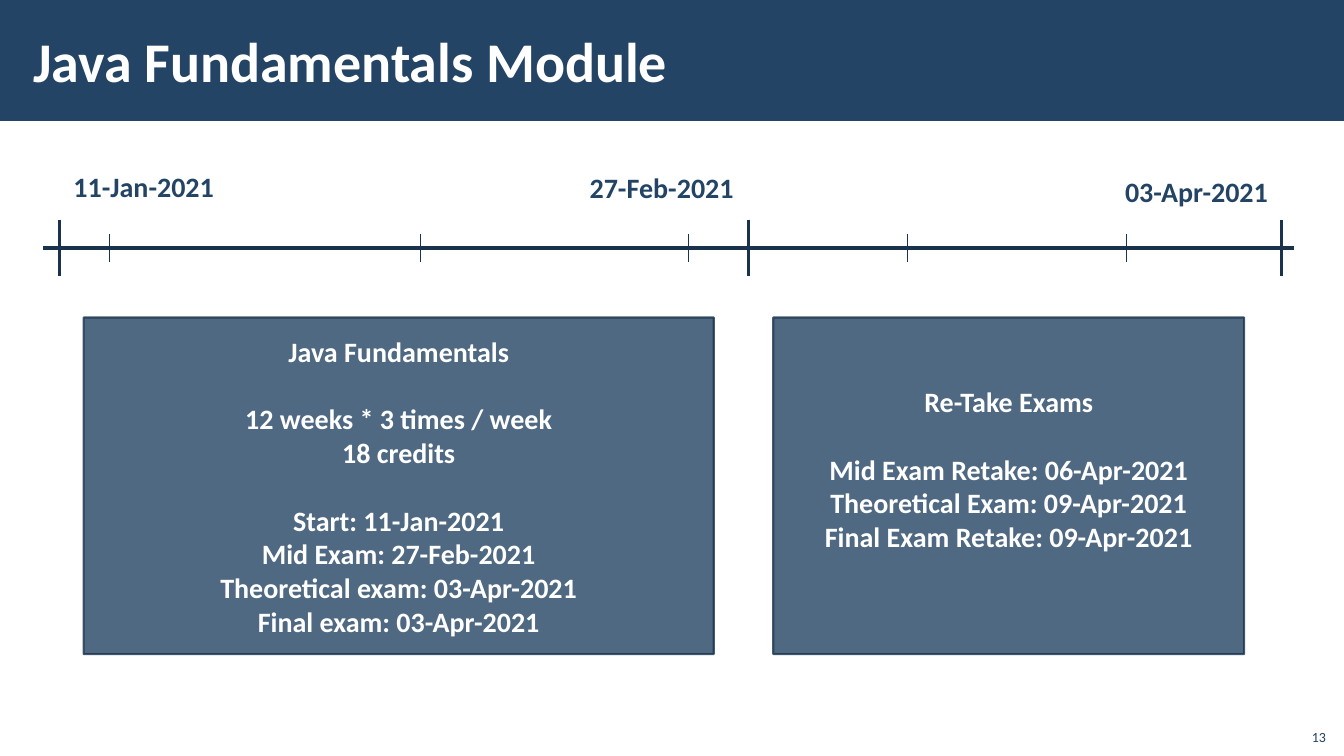
from lxml import etree
from pptx import Presentation
from pptx.dml.color import RGBColor
from pptx.enum.shapes import MSO_CONNECTOR, MSO_SHAPE
from pptx.enum.text import MSO_ANCHOR, PP_ALIGN
from pptx.oxml.ns import qn
from pptx.util import Inches, Pt

COLORS = {"navy": "234465", "line": "1A334C", "white": "FFFFFF"}
FONT = "Calibri"
AXIS_Y = 2.46
MAJOR_TICKS = [0.59, 7.42, 12.71]
MINOR_TICKS = [1.08, 4.17, 6.83, 9, 11.17]
DATES = [
    ("11-Jan-2021", 0.63, 1.63),
    ("27-Feb-2021", 5.75, 1.64),
    ("03-Apr-2021", 11.06, 1.68),
]
# Each inner list is a group of lines, set apart from the one above.
MODULE = [
    ["Java Fundamentals"],
    ["12 weeks * 3 times / week", "18 credits"],
    ["Start: 11-Jan-2021", "Mid Exam: 27-Feb-2021",
     "Theoretical exam: 03-Apr-2021", "Final exam: 03-Apr-2021"],
]
RETAKES = [
    ["Re-Take Exams"],
    ["Mid Exam Retake: 06-Apr-2021", "Theoretical Exam: 09-Apr-2021",
     "Final Exam Retake: 09-Apr-2021"],
]


def color(name):
    return RGBColor.from_string(COLORS[name])


def write(para, text, size=20, ink="navy", bold=True, align=PP_ALIGN.LEFT):
    para.alignment = align
    span = para.add_run()
    span.text = text
    span.font.name = FONT
    span.font.size = Pt(size)
    span.font.bold = bold
    span.font.color.rgb = color(ink)


def add_label(page, text, left, top, width, height, wrap=True,
              anchor=MSO_ANCHOR.TOP, inset=(0.1, 0.05), **style):
    box = page.shapes.add_textbox(
        Inches(left), Inches(top), Inches(width), Inches(height))
    frame = box.text_frame
    frame.word_wrap = wrap
    frame.vertical_anchor = anchor
    frame.margin_left = frame.margin_right = Inches(inset[0])
    frame.margin_top = frame.margin_bottom = Inches(inset[1])
    write(frame.paragraphs[0], text, **style)


def add_rectangle(page, left, top, width, height):
    box = page.shapes.add_shape(
        MSO_SHAPE.RECTANGLE,
        Inches(left), Inches(top), Inches(width), Inches(height))
    box.shadow.inherit = False
    box.fill.solid()
    box.fill.fore_color.rgb = color("navy")
    box.line.fill.background()
    return box


def add_panel(page, left, width, groups, bottom_inset=0.05):
    """Add a translucent box whose groups of lines are spaced a line apart."""
    box = add_rectangle(page, left, 3.15, width, 3.34)
    box.line.color.rgb = color("line")
    box.line.width = Pt(1.5)
    for rgb in box._element.spPr.iter(qn("a:srgbClr")):
        etree.SubElement(rgb, qn("a:alpha")).set("val", "80000")
    frame = box.text_frame
    frame.word_wrap = True
    frame.vertical_anchor = MSO_ANCHOR.MIDDLE
    frame.margin_bottom = Inches(bottom_inset)
    para = frame.paragraphs[0]
    for group_index, group in enumerate(groups):
        for line_index, text in enumerate(group):
            if group_index or line_index:
                para = frame.add_paragraph()
            if group_index and not line_index:
                para.space_before = Pt(24.4)
            write(para, text, ink="white", align=PP_ALIGN.CENTER)


def add_line(page, x1, y1, x2, y2, weight):
    line = page.shapes.add_connector(
        MSO_CONNECTOR.STRAIGHT, Inches(x1), Inches(y1), Inches(x2), Inches(y2))
    line.line.color.rgb = color("line")
    line.line.width = Pt(weight)
    etree.SubElement(line._element.spPr, qn("a:effectLst"))


def add_timeline(page):
    add_line(page, 0.43, AXIS_Y, 12.83, AXIS_Y, 2.25)
    for ticks, half, weight in ((MAJOR_TICKS, 0.28, 2.25),
                                (MINOR_TICKS, 0.14, 0.5)):
        for x in ticks:
            add_line(page, x, AXIS_Y - half, x, AXIS_Y + half, weight)
    for text, left, top in DATES:
        add_label(page, text, left, top, 1.64, 0.44, wrap=False)


def main():
    deck = Presentation()
    deck.slide_width = Inches(13.33)
    deck.slide_height = Inches(7.5)
    page = deck.slides.add_slide(deck.slide_layouts[6])
    add_rectangle(page, 0, 0, 13.33, 1.2)
    add_label(page, "Java Fundamentals Module", 0.21, 0.11, 10.63, 0.97,
              anchor=MSO_ANCHOR.MIDDLE, inset=(0.12, 0.04),
              size=40, ink="white")
    add_timeline(page)
    add_panel(page, 0.83, 6.25, MODULE)
    add_panel(page, 7.67, 4.67, RETAKES, bottom_inset=0.39)
    add_label(page, "13", 12.85, 7.12, 0.4, 0.32, anchor=MSO_ANCHOR.BOTTOM,
              size=10, bold=False, align=PP_ALIGN.RIGHT)
    deck.save("out.pptx")


if __name__ == "__main__":
    main()
